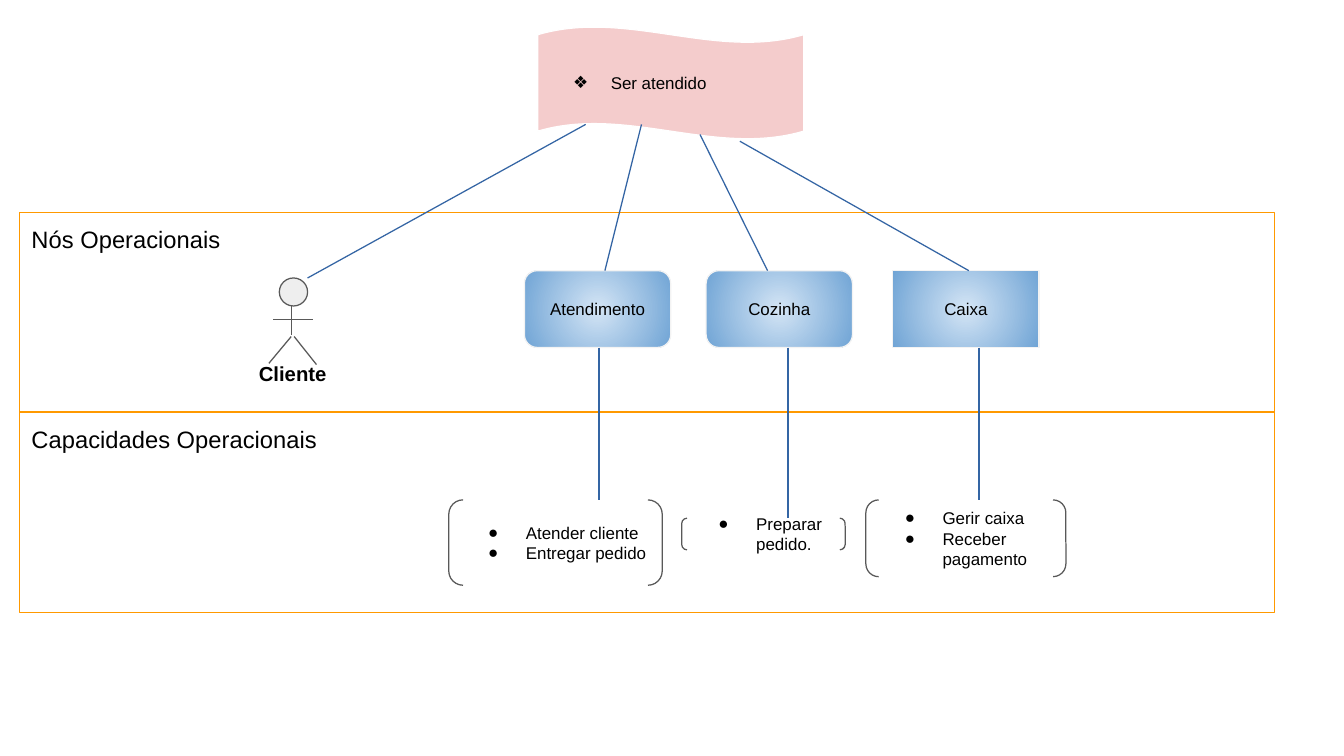
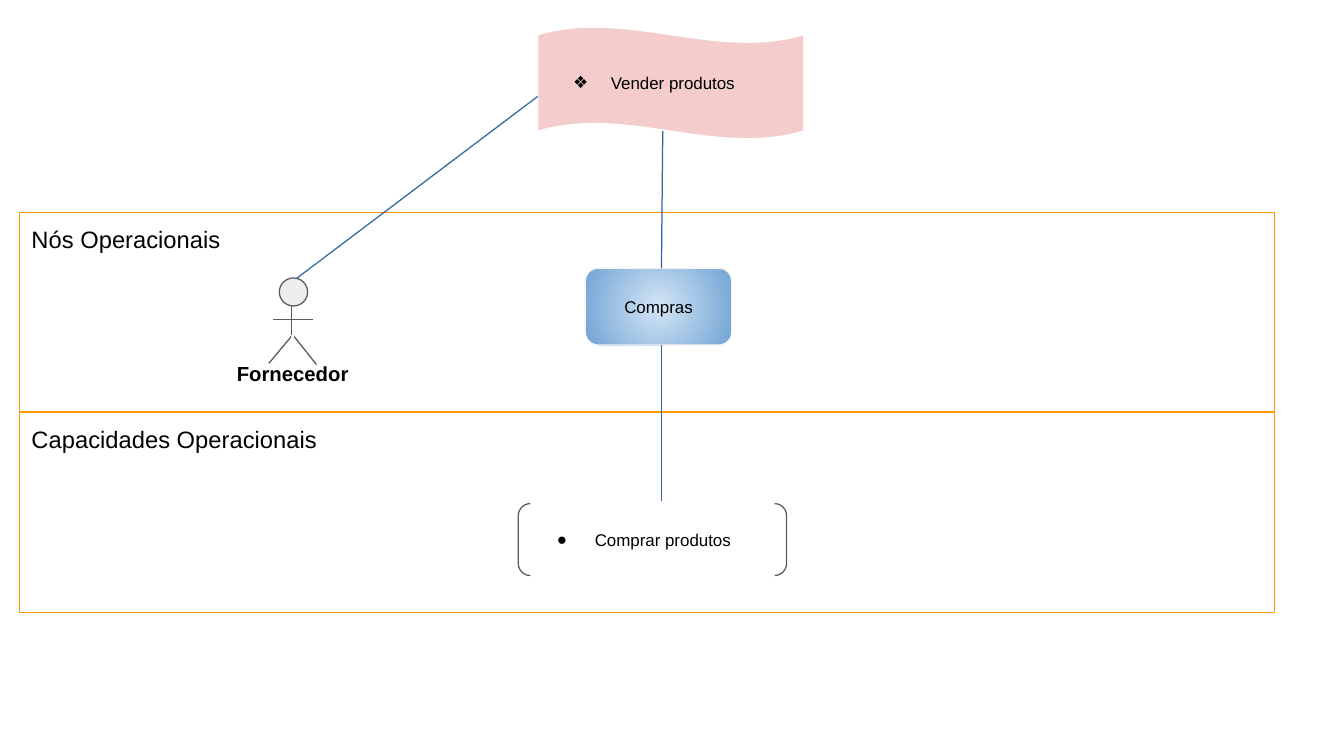
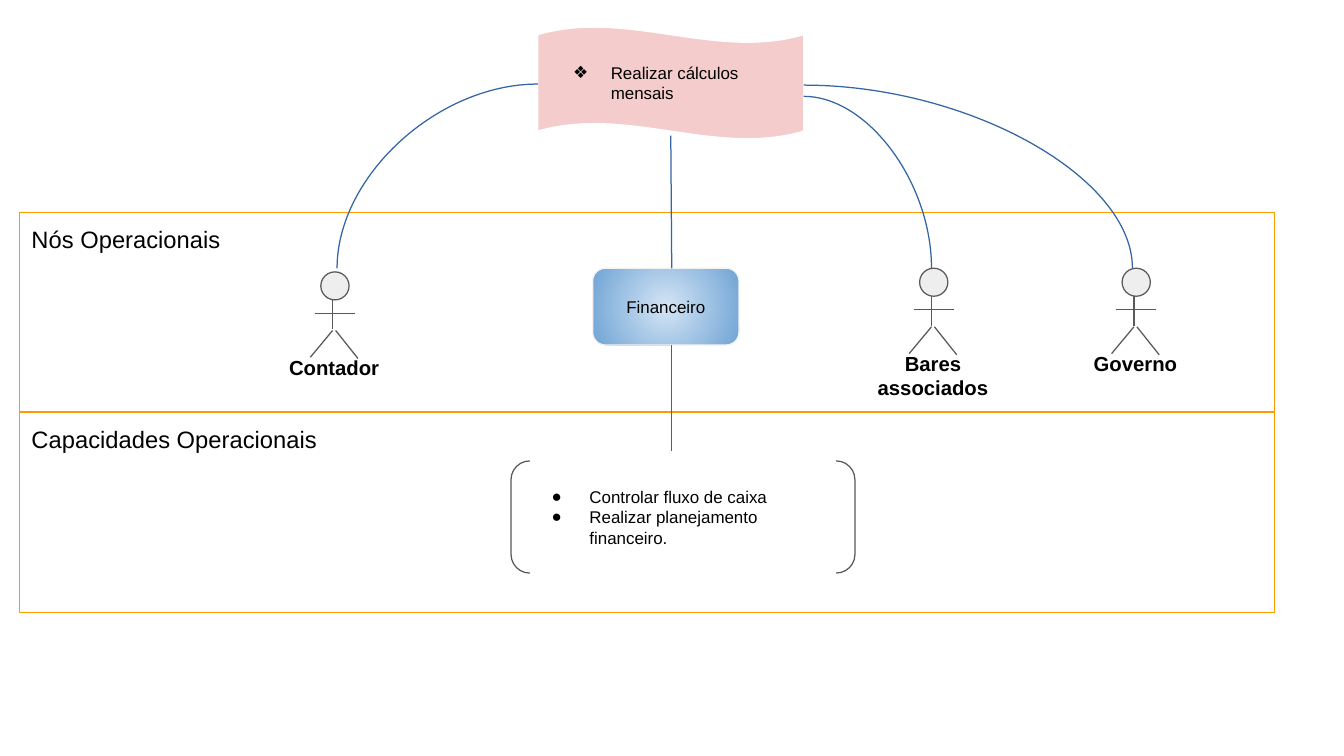
"""Build three operational diagrams on a grid of tenth-of-an-inch cells."""
from dataclasses import dataclass
from typing import NamedTuple

from lxml.etree import SubElement
from pptx import Presentation
from pptx.dml.color import RGBColor
from pptx.enum.shapes import MSO_CONNECTOR, MSO_SHAPE
from pptx.enum.text import MSO_ANCHOR, PP_ALIGN
from pptx.oxml.ns import qn
from pptx.util import Inches, Pt


@dataclass(frozen=True)
class Theme:
    """Colours, type sizes and measures shared by every slide."""
    font: str = "Arial"
    text: str = "000000"
    band: str = "FF9900"
    goal: str = "F4CCCC"
    goal_line: str = "FFFFFF"
    head: str = "EEEEEE"
    outline: str = "595959"
    link: str = "3465A4"
    node_centre: str = "D4E5F5"
    node_edge: str = "70A4D5"
    node_line: str = "F3F3F3"
    band_size: int = 14
    actor_size: int = 12
    body_size: int = 10
    line_width: float = 0.75
    corner: float = 0.167
    inset: float = 1
    bullet_margin: float = 5
    bullet_hang: float = 3.1


THEME = Theme()


class Box(NamedTuple):
    """A rectangle measured in grid cells."""
    left: float
    top: float
    width: float
    height: float

    def point(self, across, down):
        """Return the grid point at the given shares of the box."""
        return self.left + across * self.width, self.top + down * self.height

    def inner(self, across, down, width, height):
        """Return the inner box given as shares of this one."""
        return Box(*self.point(across, down), width * self.width, height * self.height)


class Actor(NamedTuple):
    """A stick figure with the ends of its link to the goal."""
    name: str
    left: float
    top: float
    goal_end: tuple
    actor_end: tuple
    curved: bool = False


class Node(NamedTuple):
    """An operational node, its links and its capabilities."""
    name: str
    left: float
    top: float
    goal_end: tuple
    link_in: float
    link_out: float
    capability_box: Box
    capabilities: tuple
    rounded: bool = True
    link_gap: float = 0


SLIDE = Box(0, 0, 110.2, 62)
GOAL = Box(44.1, 2.2, 21.8, 9.2)
BAND = Box(1.6, 17.4, 102.9, 16.4)
BAND_PITCH = 16.45
BAND_NAMES = ("Nós Operacionais", "Capacidades Operacionais")
NODE_SIZE = (12, 6.3)
ACTOR_SIZE = (12.2, 10)

DIAGRAMS = (
    ("Ser atendido",
     (Actor("Cliente", 17.9, 22.8, (0.18, 0.87), (0.6, 0)),),
     (Node("Atendimento", 43, 22.2, (0.39, 0.87), 0.55, 0.51, Box(36.8, 41, 17.5, 7),
           ("Atender cliente", "Entregar pedido")),
      Node("Cozinha", 57.9, 22.2, (0.61, 0.96), 0.42, 0.56, Box(55.9, 42.5, 13.4, 2.6),
           ("Preparar pedido.",)),
      Node("Caixa", 73.2, 22.2, (0.76, 1.02), 0.52, 0.59, Box(71, 41, 16.4, 6.3),
           ("Gerir caixa", "Receber pagamento"), rounded=False))),
    ("Vender produtos",
     (Actor("Fornecedor", 17.9, 22.8, (0, 0.62), (0.53, 0)),),
     (Node("Compras", 48, 22, (0.47, 0.93), 0.52, 0.52, Box(42.5, 41.3, 22, 5.9),
           ("Comprar produtos",), link_gap=0.2),)),
    ("Realizar cálculos mensais",
     (Actor("Contador", 21.3, 22.3, (0, 0.51), (0.52, -0.03), True),
      Actor("Bares associados", 70.4, 22, (1, 0.62), (0.49, 0), True),
      Actor("Governo", 87, 22, (1, 0.52), (0.48, 0), True)),
     (Node("Financeiro", 48.6, 22, (0.5, 0.97), 0.54, 0.54, Box(41.9, 37.8, 28.2, 9.2),
           ("Controlar fluxo de caixa", "Realizar planejamento financeiro."),
           link_gap=0.8),)),
)


def cells(*counts):
    """Convert grid cells to slide lengths."""
    return [Inches(count / 10) for count in counts]


def colour(value):
    """Return a theme colour."""
    return RGBColor.from_string(value)


def write(shape, lines, size, align=PP_ALIGN.LEFT, anchor=MSO_ANCHOR.MIDDLE,
          bold=False, bullet=None):
    """Fill a shape with formatted paragraphs."""
    frame = shape.text_frame
    frame.text = "\n".join(lines)
    frame.word_wrap = True
    frame.vertical_anchor = anchor
    (frame.margin_left, frame.margin_top,
     frame.margin_right, frame.margin_bottom) = cells(*[THEME.inset] * 4)
    for paragraph in frame.paragraphs:
        paragraph.alignment = align
        if bullet:
            add_bullet(paragraph, bullet)
        for run in paragraph.runs:
            run.font.name = THEME.font
            run.font.size = Pt(size)
            run.font.bold = bold
            run.font.color.rgb = colour(THEME.text)


def add_bullet(paragraph, character):
    """Give a paragraph a hanging bullet."""
    properties = paragraph._p.get_or_add_pPr()
    margin, hang = cells(THEME.bullet_margin, THEME.bullet_hang)
    properties.set("marL", str(margin))
    properties.set("indent", str(-hang))
    bullet_colour = SubElement(properties, qn("a:buClr"))
    SubElement(bullet_colour, qn("a:srgbClr")).set("val", THEME.text)
    SubElement(properties, qn("a:buFont")).set("typeface", THEME.font)
    SubElement(properties, qn("a:buChar")).set("char", character)


def draw_shape(shapes, kind, box, line, fill=None, adjustments=()):
    """Draw a preset shape with a thin outline."""
    shape = shapes.add_shape(kind, *cells(*box))
    shape.shadow.inherit = False
    shape.line.color.rgb = colour(line)
    shape.line.width = Pt(THEME.line_width)
    if fill:
        shape.fill.solid()
        shape.fill.fore_color.rgb = colour(fill)
    else:
        shape.fill.background()
    for index, value in enumerate(adjustments):
        shape.adjustments[index] = value
    return shape


def draw_line(shapes, start, end, line=THEME.link, curved=False):
    """Join two grid points with a straight line or a quarter curve."""
    kind = MSO_CONNECTOR.CURVE if curved else MSO_CONNECTOR.STRAIGHT
    connector = shapes.add_connector(kind, *cells(*start, *end))
    connector.line.color.rgb = colour(line)
    connector.line.width = Pt(THEME.line_width)
    properties = connector._element.spPr
    SubElement(properties, qn("a:effectLst"))
    if curved:
        properties.find(qn("a:prstGeom")).set("prst", "curvedConnector2")


def radial_fill(shape):
    """Fill a shape with the node gradient, from centre to edge."""
    shape.fill.gradient()
    stops = shape.fill.gradient_stops
    for stop, value in zip(stops, (THEME.node_centre, THEME.node_edge)):
        stop.color.rgb = colour(value)
    gradient = shape._element.spPr.find(qn("a:gradFill"))
    gradient.remove(gradient.find(qn("a:lin")))
    circle = SubElement(gradient, qn("a:path"))
    circle.set("path", "circle")
    focus = SubElement(circle, qn("a:fillToRect"))
    for side in "ltrb":
        focus.set(side, "50000")


def draw_bands(slide, box):
    """Draw the two named bands, one below the other."""
    for row, name in enumerate(BAND_NAMES):
        band_box = box._replace(top=box.top + row * BAND_PITCH)
        band = draw_shape(slide.shapes, MSO_SHAPE.RECTANGLE, band_box, THEME.band)
        write(band, [name], THEME.band_size, anchor=MSO_ANCHOR.TOP)


def draw_goal(slide, box, name):
    """Draw the goal flag at the top."""
    flag = draw_shape(slide.shapes, MSO_SHAPE.WAVE, box, THEME.goal_line,
                      THEME.goal, (0.07, 0))
    write(flag, [name], THEME.body_size, bullet="❖")


def draw_actor(slide, box, name):
    """Draw a grouped stick figure with its name below."""
    shapes = slide.shapes.add_group_shape().shapes
    draw_shape(shapes, MSO_SHAPE.FLOWCHART_CONNECTOR, box.inner(0.41, 0, 0.19, 0.23),
               THEME.outline, THEME.head)
    body = ((0.49, 0.23), (0.49, 0.47))
    arms = ((0.37, 0.34), (0.64, 0.34))
    left_leg = ((0.49, 0.48), (0.34, 0.7))
    right_leg = ((0.51, 0.48), (0.66, 0.71))
    for start, end in (body, arms, left_leg, right_leg):
        draw_line(shapes, box.point(*start), box.point(*end), THEME.outline)
    label = shapes.add_textbox(*cells(*box.inner(0, 0.58, 1, 0.41)))
    write(label, [name], THEME.actor_size, PP_ALIGN.CENTER, MSO_ANCHOR.TOP, bold=True)


def draw_node(slide, box, node):
    """Draw a node, its capabilities and the link between them."""
    corner = THEME.corner if node.rounded else 0
    shape = draw_shape(slide.shapes, MSO_SHAPE.ROUNDED_RECTANGLE, box,
                       THEME.node_line, adjustments=(corner,))
    radial_fill(shape)
    write(shape, [node.name], THEME.body_size, PP_ALIGN.CENTER)
    brackets = draw_shape(slide.shapes, MSO_SHAPE.DOUBLE_BRACKET, node.capability_box,
                          THEME.outline, adjustments=(THEME.corner,))
    write(brackets, node.capabilities, THEME.body_size, bullet="●")
    start = box.point(node.link_out, 1)
    end = start[0], node.capability_box.top - node.link_gap
    draw_line(slide.shapes, start, end)


def draw_diagram(slide, goal, actors, nodes):
    """Draw one goal with the actors and nodes that serve it."""
    draw_bands(slide, BAND)
    draw_goal(slide, GOAL, goal)
    for actor in actors:
        box = Box(actor.left, actor.top, *ACTOR_SIZE)
        draw_actor(slide, box, actor.name)
        draw_line(slide.shapes, GOAL.point(*actor.goal_end),
                  box.point(*actor.actor_end), curved=actor.curved)
    for node in nodes:
        box = Box(node.left, node.top, *NODE_SIZE)
        draw_node(slide, box, node)
        draw_line(slide.shapes, GOAL.point(*node.goal_end), box.point(node.link_in, 0))


def main():
    """Build and save the presentation."""
    presentation = Presentation()
    presentation.slide_width, presentation.slide_height = cells(SLIDE.width, SLIDE.height)
    blank_layout = presentation.slide_layouts[6]
    for goal, actors, nodes in DIAGRAMS:
        draw_diagram(presentation.slides.add_slide(blank_layout), goal, actors, nodes)
    presentation.save("out.pptx")


main()
